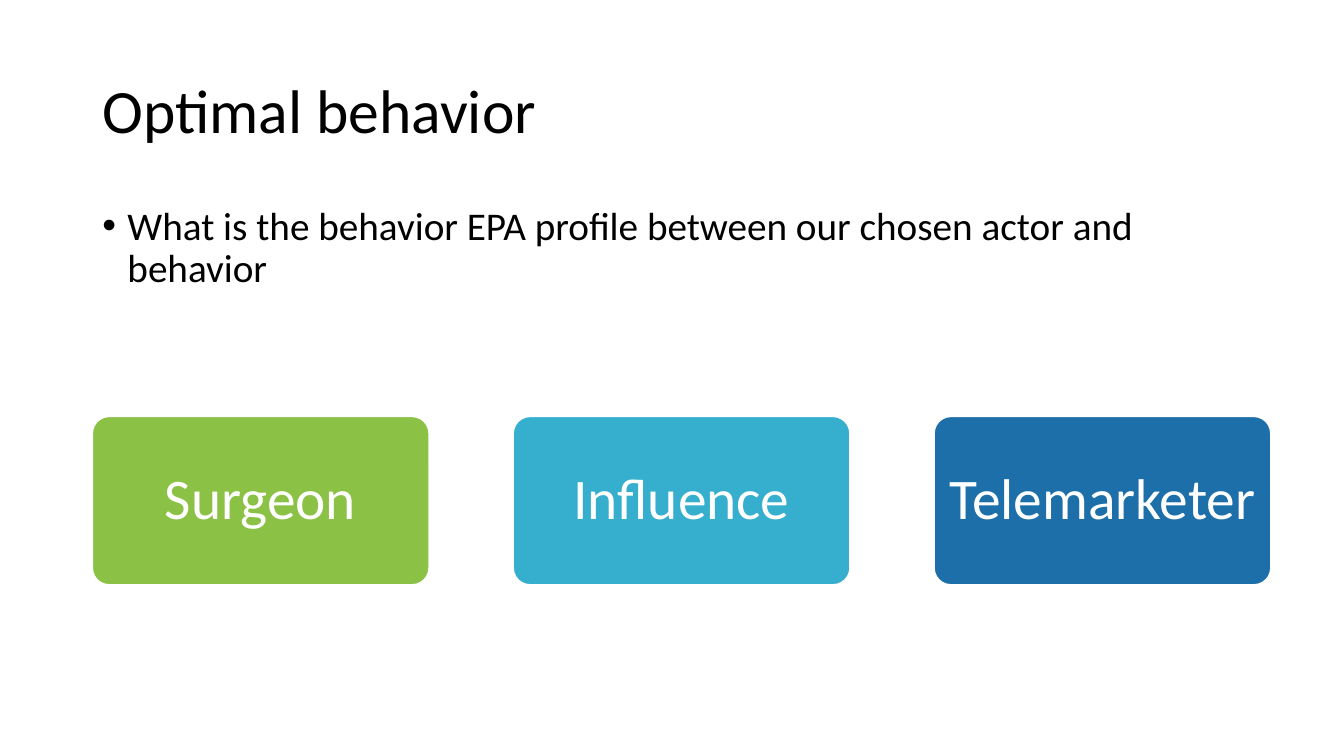
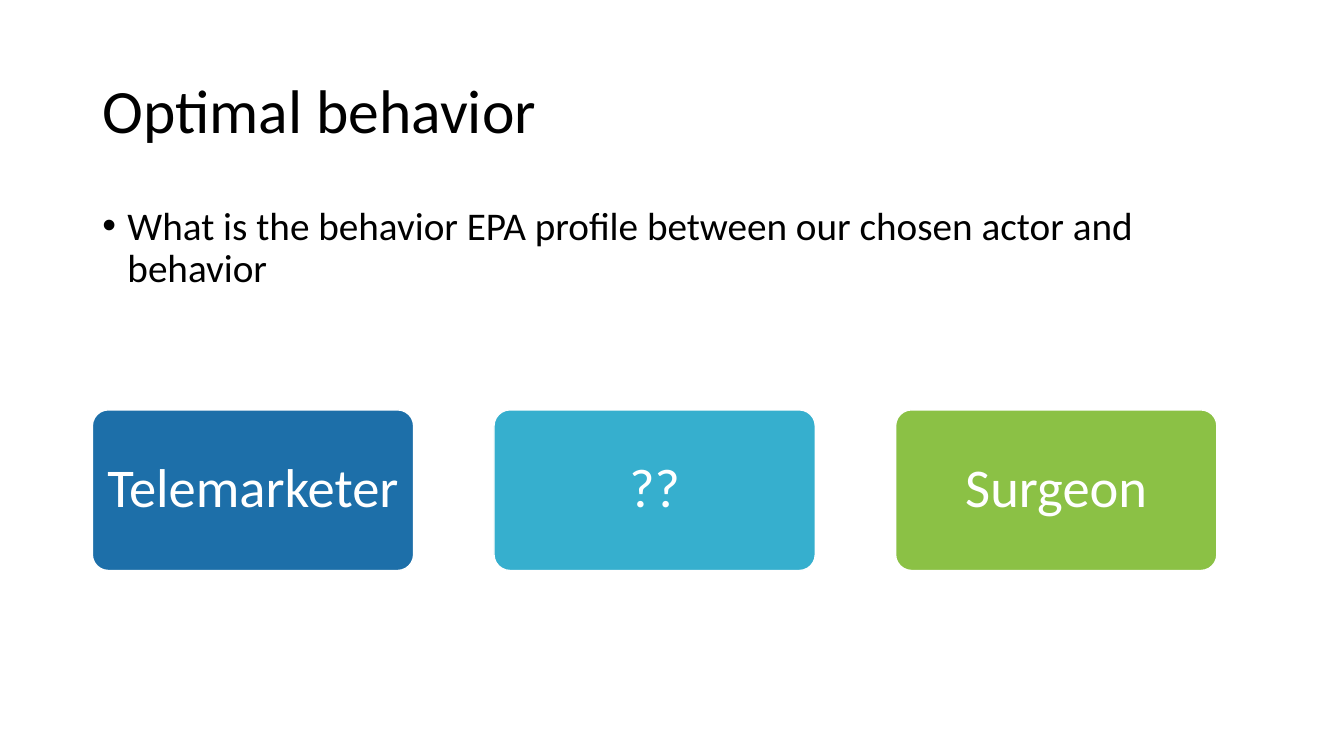
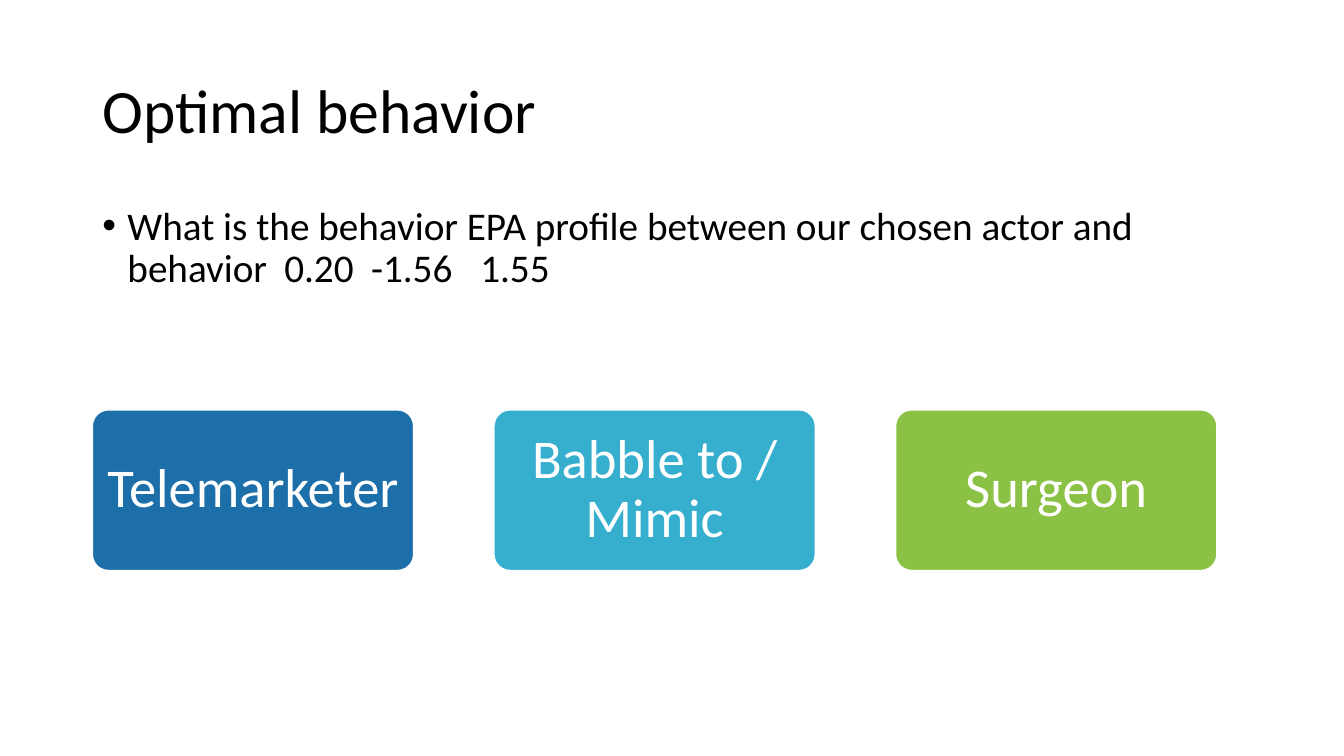
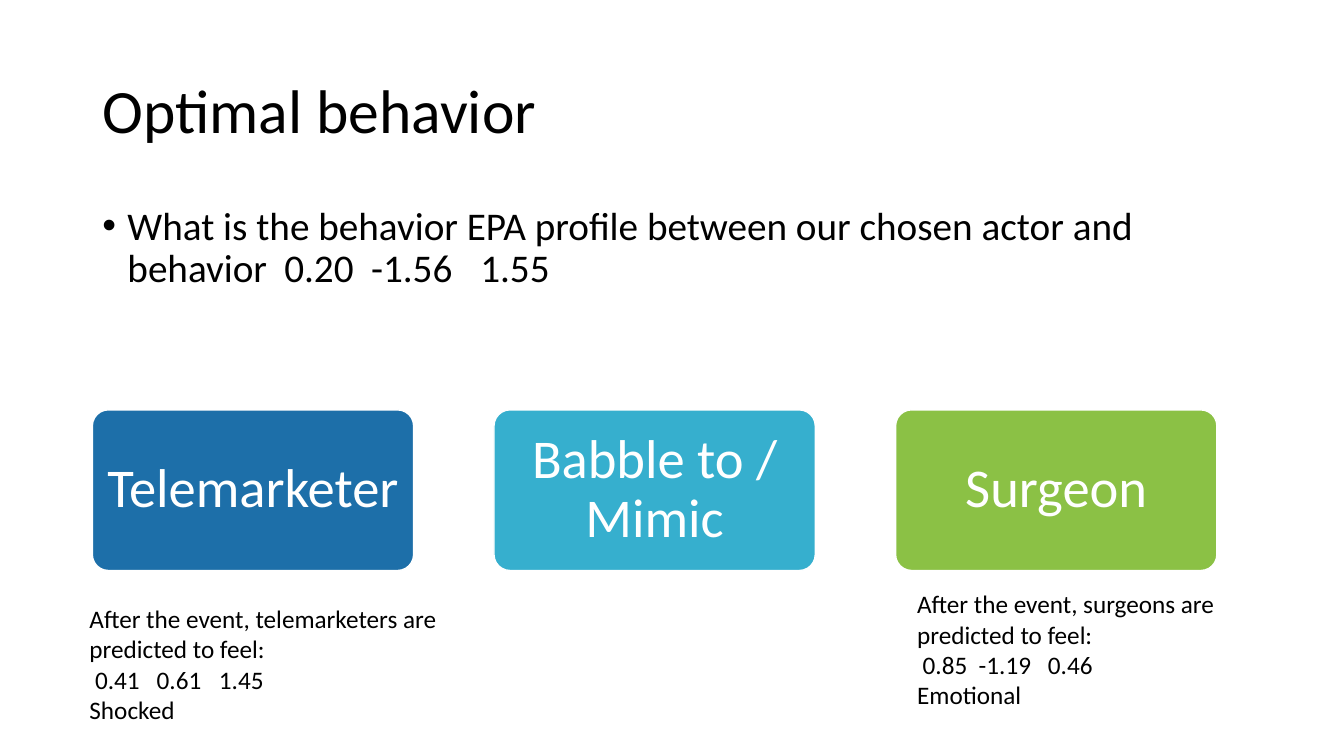
"""Build four slides on the optimal behavior between a telemarketer and a surgeon."""
from dataclasses import dataclass

from lxml import etree
from pptx import Presentation
from pptx.dml.color import RGBColor
from pptx.enum.shapes import MSO_SHAPE
from pptx.enum.text import MSO_ANCHOR, PP_ALIGN
from pptx.oxml.ns import qn
from pptx.util import Pt

ROUNDED = MSO_SHAPE.ROUNDED_RECTANGLE
TOP, MIDDLE = MSO_ANCHOR.TOP, MSO_ANCHOR.MIDDLE
LEFT, CENTER = PP_ALIGN.LEFT, PP_ALIGN.CENTER


@dataclass(frozen=True)
class Theme:
    font: str = "Calibri"
    black: RGBColor = RGBColor(0x00, 0x00, 0x00)
    white: RGBColor = RGBColor(0xFF, 0xFF, 0xFF)
    green: RGBColor = RGBColor(0x8B, 0xC1, 0x45)
    cyan: RGBColor = RGBColor(0x36, 0xAF, 0xCE)
    blue: RGBColor = RGBColor(0x1D, 0x6F, 0xA9)
    title: int = 44
    body: int = 28
    note: int = 18
    wide_card: int = 41
    narrow_card: int = 39


T = Theme()
MARGIN = 66
CONTENT_W = 828
QUESTION = "What is the behavior EPA profile between our chosen actor and behavior"
PROFILE = QUESTION + "\t0.20\t-1.56\t1.55"
PROFILE_TABS = (130, 192, 270)
SURGEON = ("Surgeon", T.green)
TELEMARKETER = ("Telemarketer", T.blue)
WIDE = dict(width=240.5, top=297.5, size=T.wide_card)
NARROW = dict(width=229.5, top=292.8, size=T.narrow_card)
NOTES = [
    (56.8, 427.5, 270, (4, 48, 92.5),
     ["After the event, telemarketers are", "predicted to feel:",
      "\t0.41\t0.61\t1.45", "Shocked"]),
    (648, 417, 234, (4, 44, 93.5),
     ["After the event, surgeons are", "predicted to feel:",
      "\t0.85\t-1.19\t0.46", "Emotional"]),
]
SLIDES = [
    (QUESTION, WIDE, [SURGEON, ("Influence", T.cyan), TELEMARKETER], []),
    (QUESTION, NARROW, [TELEMARKETER, ("??", T.cyan), SURGEON], []),
    (PROFILE, NARROW, [TELEMARKETER, ("Babble to / Mimic", T.cyan), SURGEON], []),
    (PROFILE, NARROW, [TELEMARKETER, ("Babble to / Mimic", T.cyan), SURGEON], NOTES),
]


def write(sp, lines, size, color=T.black, align=LEFT, anchor=TOP, spacing=0.9):
    """Fill a shape with one formatted paragraph per line."""
    tf = sp.text_frame
    for name, value in dict(word_wrap=True, vertical_anchor=anchor).items():
        setattr(tf, name, value)
    for i, line in enumerate(lines):
        p = tf.paragraphs[0] if i == 0 else tf.add_paragraph()
        r = p.add_run()
        r.text = line
        p.alignment, p.line_spacing = align, spacing
        for name, value in dict(name=T.font, size=Pt(size)).items():
            setattr(r.font, name, value)
        r.font.color.rgb = color
    return tf


def add_tabs(p, stops):
    """Give a paragraph left tab stops at the given points."""
    tabs = etree.SubElement(p._p.get_or_add_pPr(), qn("a:tabLst"))
    for stop in stops:
        etree.SubElement(tabs, qn("a:tab"), pos=str(Pt(stop)), algn="l")


prs = Presentation()
prs.slide_width, prs.slide_height = Pt(960), Pt(540)

for question, card, labels, notes in SLIDES:
    s = prs.slides.add_slide(prs.slide_layouts[5])
    title = s.shapes.title
    frame = dict(left=MARGIN, top=28.75, width=CONTENT_W, height=104.4)
    for name, value in frame.items():
        setattr(title, name, Pt(value))
    write(title, ["Optimal behavior"], T.title, anchor=MIDDLE)

    sp = s.shapes.add_textbox(Pt(MARGIN), Pt(144), Pt(CONTENT_W), Pt(90))
    p = write(sp, [question], T.body).paragraphs[0]
    pPr = p._p.get_or_add_pPr()
    pPr.set("marL", str(Pt(18)))
    pPr.set("indent", str(-Pt(18)))
    etree.SubElement(pPr, qn("a:buFont"), typeface="Arial")
    etree.SubElement(pPr, qn("a:buChar"), char="•")
    if question == PROFILE:
        add_tabs(p, PROFILE_TABS)

    width = card["width"]
    for i, (label, color) in enumerate(labels):
        sp = s.shapes.add_shape(ROUNDED, Pt(MARGIN + i * width * 1.25),
                                Pt(card["top"]), Pt(width), Pt(width / 2))
        sp.adjustments[0] = 0.1
        sp.shadow.inherit = False
        sp.fill.solid()
        sp.fill.fore_color.rgb = color
        sp.line.color.rgb = T.white
        sp.line.width = Pt(1)
        tf = write(sp, [label], card["size"], T.white, CENTER, MIDDLE)
        tf.margin_left = tf.margin_right = Pt(4)

    for left, top, note_w, stops, lines in notes:
        sp = s.shapes.add_textbox(Pt(left), Pt(top), Pt(note_w), Pt(94.5))
        tf = write(sp, lines, T.note, spacing=1.0)
        add_tabs(tf.paragraphs[2], stops)

prs.save("out.pptx")
